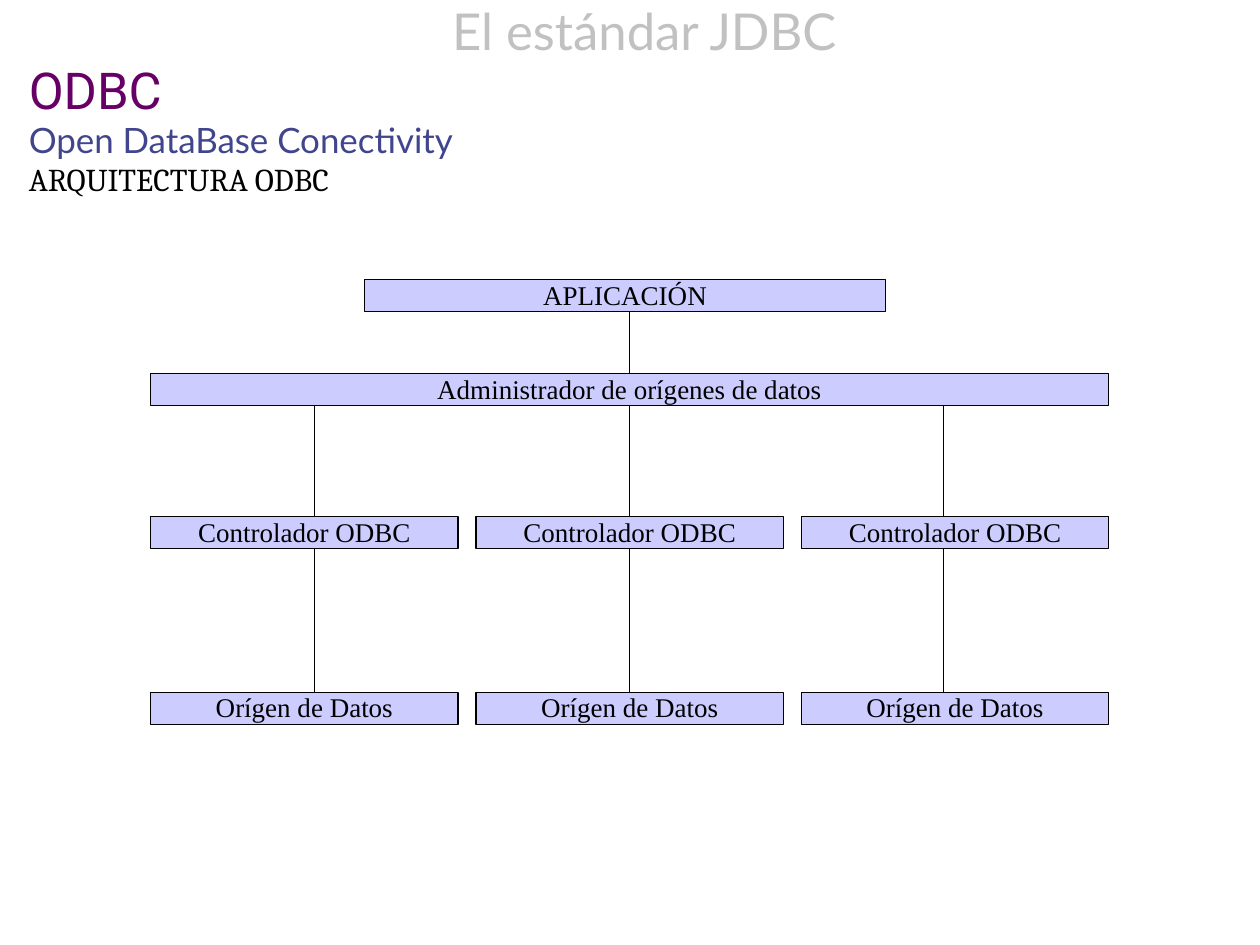
"""Build the slide on the ODBC architecture."""
from lxml import etree
from pptx import Presentation
from pptx.dml.color import RGBColor
from pptx.enum import shapes, text
from pptx.oxml import ns
from pptx.util import Cm, Pt


def color(value):
    return RGBColor.from_string(value)


def write(p, content, size=17, font="Times New Roman", fill="000000",
          align=text.PP_ALIGN.CENTER, spacing=0.98):
    p.alignment = align
    p.line_spacing = spacing
    p.space_before = p.space_after = Pt(0)
    r = p.add_run()
    r.text = content
    r.font.size = Pt(size)
    r.font.name = font
    r.font.color.rgb = color(fill)


prs = Presentation()
prs.slide_width, prs.slide_height = Cm(28), Cm(21)
s = prs.slides.add_slide(prs.slide_layouts[1])

title, body = s.shapes.title, s.placeholders[1]
for sp, top, height in ((title, 0.05, 1.33), (body, 1.38, 3.85)):
    sp.left, sp.top, sp.width, sp.height = Cm(0.64), Cm(top), Cm(27.36), Cm(height)
    tf = sp.text_frame
    tf.margin_left = tf.margin_right = tf.margin_top = tf.margin_bottom = 0
    tf.vertical_anchor = text.MSO_ANCHOR.TOP
    tf.auto_size = text.MSO_AUTO_SIZE.NONE
    tf.word_wrap = True

write(title.text_frame.paragraphs[0], "El estándar JDBC", size=32, font="Lato", fill="C1C1C1")

headings = [
    ("ODBC", 32, "Roboto", "660066"),
    ("Open DataBase Conectivity", 22, "Lato", "40458D"),
    ("ARQUITECTURA ODBC", 20, "Cambria", "000000"),
]
tf = body.text_frame
for i, (content, size, font, fill) in enumerate(headings):
    p = tf.add_paragraph() if i else tf.paragraphs[0]
    pPr = p._p.get_or_add_pPr()
    pPr.set("marL", "0")
    pPr.set("indent", "0")
    etree.SubElement(pPr, ns.qn("a:buNone"))
    write(p, content, size=size, font=font, fill=fill,
          align=text.PP_ALIGN.LEFT, spacing=0.97)

line_gap = 6.99
lines = [(2 * line_gap, 6.35, 9.53)]
lines += [(line_gap * (i + 1), 8.89, 15.88) for i in range(3)]
for x, top, bottom in lines:
    line = s.shapes.add_connector(shapes.MSO_CONNECTOR.STRAIGHT,
                                  Cm(x), Cm(bottom), Cm(x), Cm(top))
    line.line.color.rgb = color("000000")
    line.line.width = Pt(0.75)
    etree.SubElement(line._element.spPr, ns.qn("a:effectLst"))

boxes = [
    ("APLICACIÓN", 8.1, 6.22, 11.58),
    ("Administrador de orígenes de datos", 3.35, 8.31, 21.28),
]
for content, top in (("Controlador ODBC", 11.48), ("Orígen de Datos", 15.39)):
    boxes += [(content, 3.35 + 7.23 * i, top, 6.83) for i in range(3)]

for content, left, top, width in boxes:
    sp = s.shapes.add_shape(shapes.MSO_SHAPE.RECTANGLE,
                            Cm(left), Cm(top), Cm(width), Cm(0.71))
    sp.shadow.inherit = False
    sp.fill.solid()
    sp.fill.fore_color.rgb = color("CCCCFF")
    sp.line.color.rgb = color("000000")
    sp.line.width = Pt(0.75)
    tf = sp.text_frame
    tf.margin_left = tf.margin_right = tf.margin_top = tf.margin_bottom = 0
    tf.vertical_anchor = text.MSO_ANCHOR.MIDDLE
    tf.word_wrap = True
    write(tf.paragraphs[0], content)

prs.save("out.pptx")
